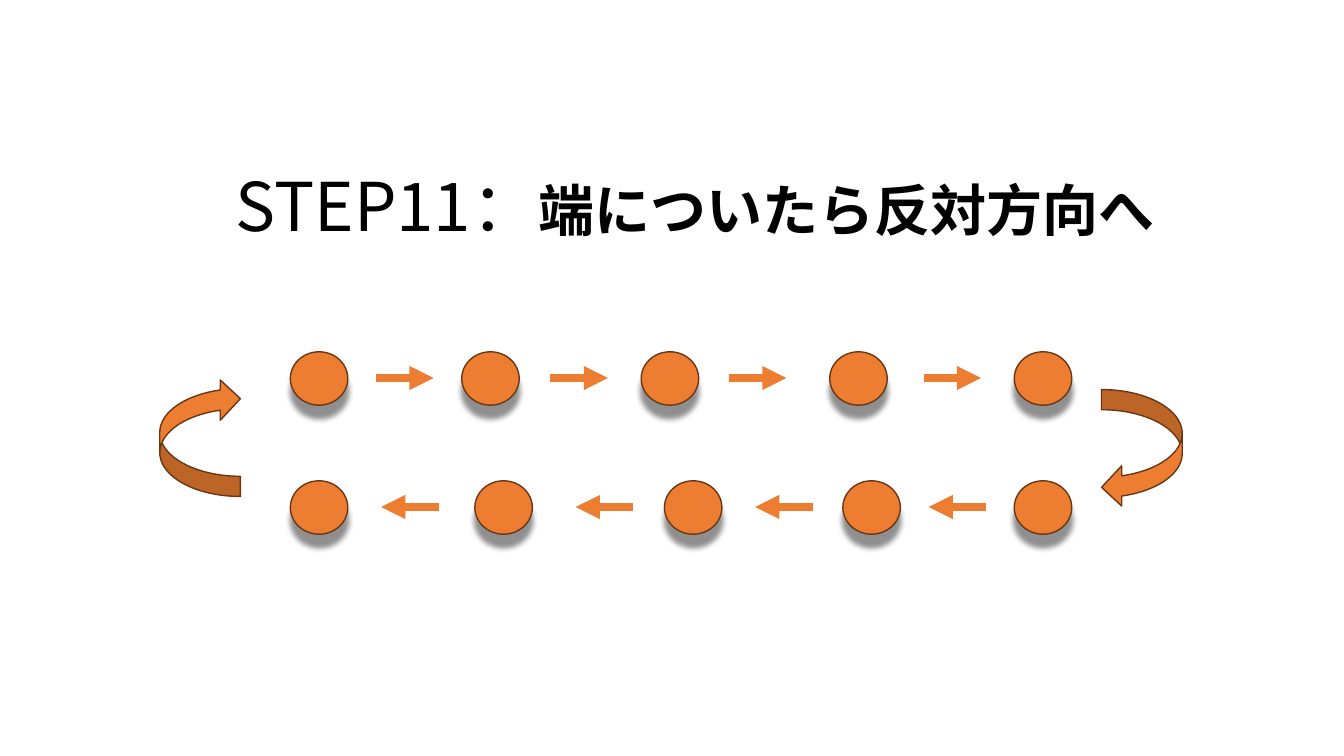
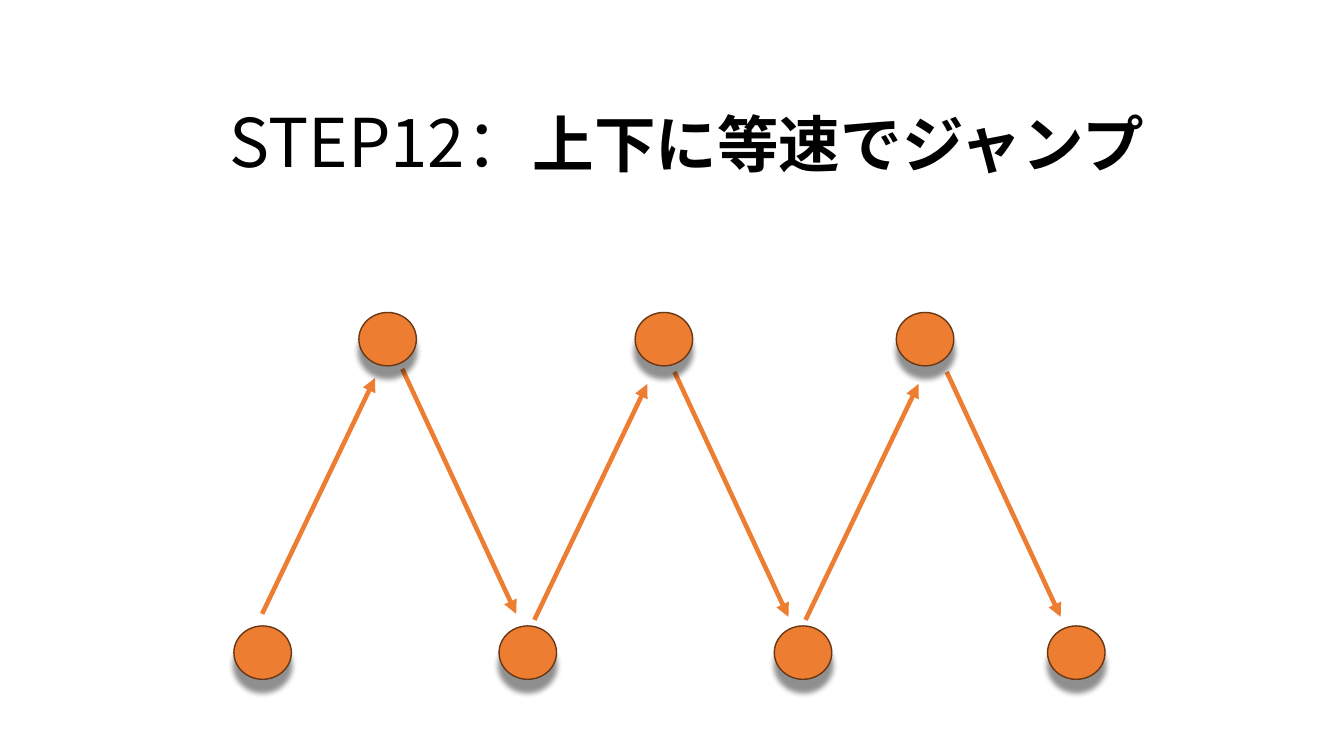
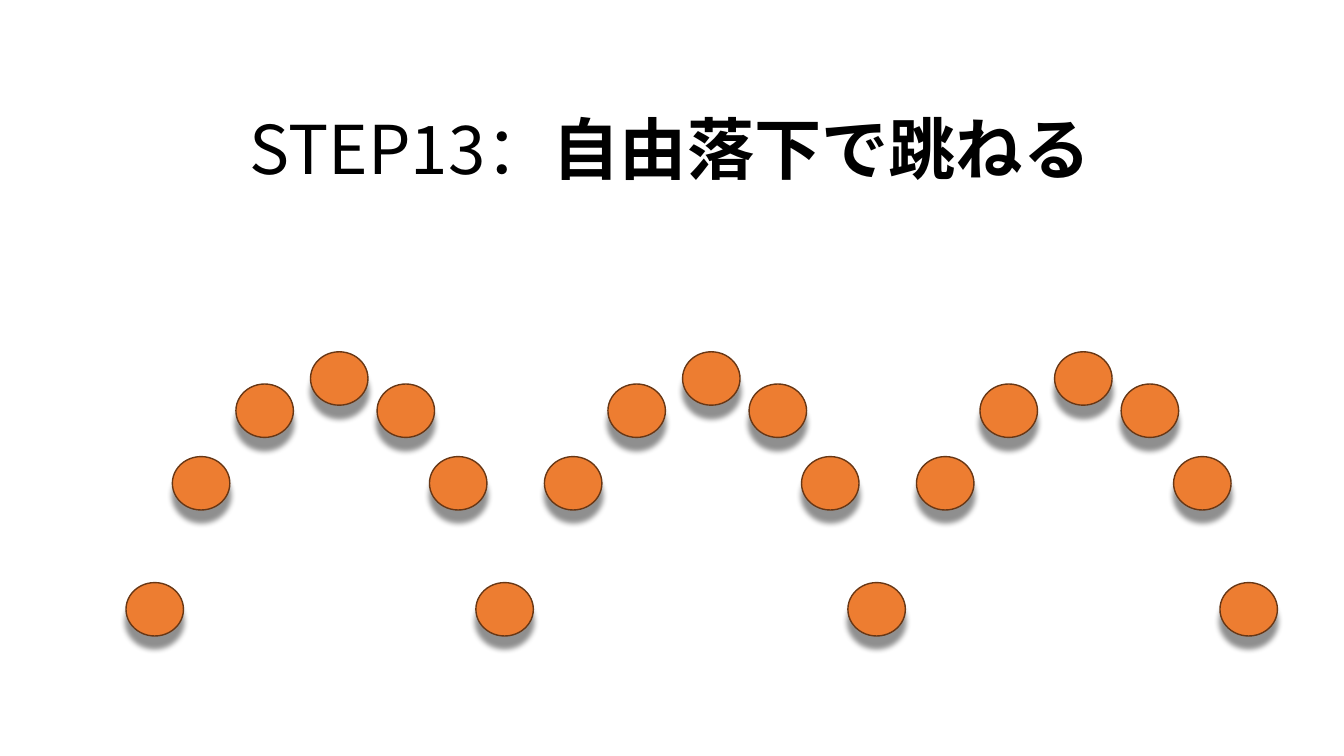
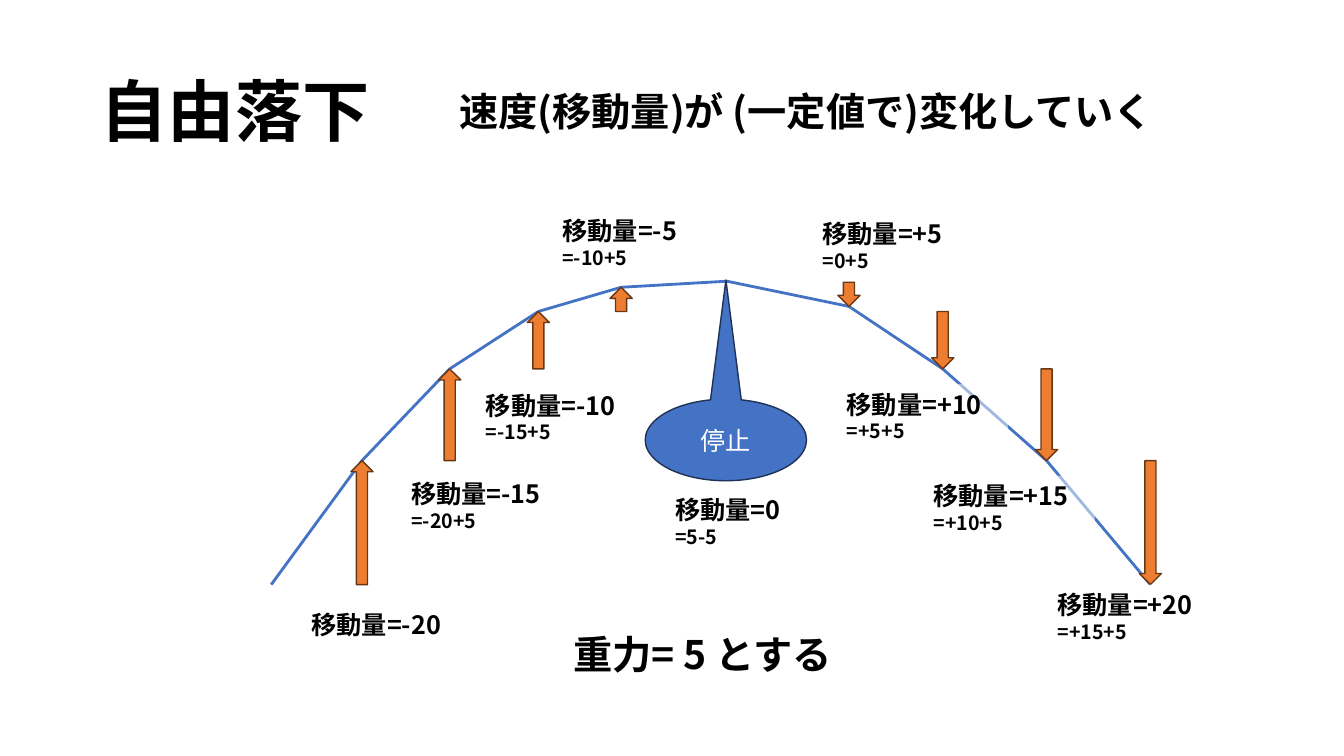
from dataclasses import dataclass

from lxml import etree
from pptx import Presentation
from pptx import util as u
from pptx.dml import color
from pptx.enum import shapes, text
from pptx.oxml import ns

EMU_PER_PX = 9144  # 100 px to the inch


@dataclass(frozen=True)
class Theme:
    font: str = "Noto Sans CJK JP"
    ink: str = "000000"
    paper: str = "FFFFFF"
    orange: str = "ED7D31"
    orange_edge: str = "683715"
    blue: str = "4472C4"
    blue_edge: str = "1E3256"
    title: int = 48
    statement: int = 28
    body: int = 18
    detail: int = 14
    edge: float = 1
    curve: float = 2
    jump: float = 3.25
    step: float = 5.75
    wash_percent: int = 50


THEME = Theme()
BALL_WIDTH, BALL_HEIGHT = 57, 53


@dataclass(frozen=True)
class Box:
    left: int
    top: int
    width: int
    height: int

    def inner(self, left, top, width, height):
        return Box(self.left + left, self.top + top, width, height)

    def point(self, x, y):
        return self.left + x, self.top + y

    def emu(self):
        return [px(n) for n in (self.left, self.top, self.width, self.height)]


def px(length):
    return u.Emu(length * EMU_PER_PX)


def rgb(value):
    return color.RGBColor.from_string(value)


def add_element(parent, tag, **attributes):
    element = etree.SubElement(parent, ns.qn(tag))
    for name, value in attributes.items():
        element.set(name, str(value))
    return element


def style_paragraph(para, size, bold=False, ink=THEME.ink):
    font = para.font
    font.name, font.size, font.bold = THEME.font, u.Pt(size), bold
    font.color.rgb = rgb(ink)
    # East Asian glyphs need their own typeface entry.
    for properties in para._p.iter(ns.qn("a:defRPr")):
        add_element(properties, "a:ea", typeface=THEME.font)


def add_text_box(page, box):
    text_box = page.shapes.add_textbox(*box.emu())
    text_box.text_frame.word_wrap = True
    return text_box


def add_lines(page, box, lines):
    """Place bold paragraphs, each given as (wording, size)."""
    text_box = add_text_box(page, box)
    frame = text_box.text_frame
    for index, (wording, size) in enumerate(lines):
        para = frame.add_paragraph() if index else frame.paragraphs[0]
        para.text = wording
        style_paragraph(para, size, bold=True)
    return text_box


def add_step_title(page, box, step, wording, size):
    para = add_text_box(page, box).text_frame.paragraphs[0]
    style_paragraph(para, THEME.title)
    para.add_run().text = f"{step}："
    span = para.add_run()
    span.text = wording
    span.font.size, span.font.bold = u.Pt(size), True


def add_solid(page, kind, box, fill=THEME.orange, edge=THEME.orange_edge):
    shape = page.shapes.add_shape(kind, *box.emu())
    shape.shadow.inherit = False
    shape.fill.solid()
    shape.fill.fore_color.rgb = rgb(fill)
    shape.line.color.rgb = rgb(edge)
    shape.line.width = u.Pt(THEME.edge)
    return shape


def add_ball(page, box, left, top):
    ball = add_solid(page, shapes.MSO_SHAPE.OVAL,
                     box.inner(left, top, BALL_WIDTH, BALL_HEIGHT))
    effects = ball._element.spPr.find(ns.qn("a:effectLst"))
    shadow = add_element(effects, "a:outerShdw", blurRad=u.Pt(4), dist=u.Pt(9),
                         dir=90 * 60000, algn="ctr", rotWithShape=0)
    shade = add_element(shadow, "a:srgbClr", val=THEME.ink)
    add_element(shade, "a:alpha", val=43000)


def add_line(page, start, end, ink, weight, arrow=False):
    line = page.shapes.add_connector(shapes.MSO_CONNECTOR.STRAIGHT,
                                     *(px(n) for n in (*start, *end)))
    line.line.color.rgb = rgb(ink)
    line.line.width = u.Pt(weight)
    if arrow:
        add_element(line.line._get_or_add_ln(), "a:tailEnd", type="triangle")
    add_element(line._element.spPr, "a:effectLst")


def add_ball_row(page, box, balls, arrows, forward):
    length, middle = 57, 26
    for left in arrows:
        ends = [box.point(left, middle), box.point(left + length, middle)]
        start, end = ends if forward else reversed(ends)
        add_line(page, start, end, THEME.orange, THEME.step, arrow=True)
    for left in balls:
        add_ball(page, box, left, 0)


def add_turn(page, box, rotation):
    turn = add_solid(page, shapes.MSO_SHAPE.CURVED_DOWN_ARROW, box)
    turn.rotation = rotation


def add_zigzag(page, box):
    rises = [(28, 299), (298, 305), (567, 305)]
    falls = [(167, 56), (437, 59), (707, 59)]
    for starts, run, drop in ((rises, 112, -234), (falls, 113, 243)):
        for x, y in starts:
            add_line(page, box.point(x, y), box.point(x + run, y + drop),
                     THEME.orange, THEME.jump, arrow=True)
    for left in (0, 263, 536, 807):
        add_ball(page, box, left, box.height - BALL_HEIGHT)
    for left in (124, 398, 657):
        add_ball(page, box, left, 0)


def add_bounces(page, box):
    """Place the first ball on the ground, then three equal arches."""
    arch = [(46, 104), (109, 32), (183, 0), (249, 32), (301, 104), (347, 229)]
    pitch = 369
    add_ball(page, box, 0, box.height - BALL_HEIGHT)
    for bounce in range(3):
        for x, y in arch:
            add_ball(page, box, bounce * pitch + x, y)


def add_speed_arrow(page, box, tip, change):
    """Place an arrow that ends at tip; a negative change points up."""
    width = 22
    x, y = tip
    kind, top = ((shapes.MSO_SHAPE.UP_ARROW, y) if change < 0
                 else (shapes.MSO_SHAPE.DOWN_ARROW, y - change))
    add_solid(page, kind, box.inner(x - width // 2, top, width, abs(change)))


def add_speed_label(page, box, speed, formula, washed):
    lines = [(f"移動量={speed}", THEME.body)]
    if formula:
        lines.append((formula, THEME.detail))
    label = add_lines(page, box, lines)
    if washed:
        label.fill.solid()
        label.fill.fore_color.rgb = rgb(THEME.paper)
        for paint in label._element.spPr.iter(ns.qn("a:srgbClr")):
            add_element(paint, "a:alpha", val=THEME.wash_percent * 1000)


def add_stop_callout(page, box):
    callout = add_solid(page, shapes.MSO_SHAPE.OVAL_CALLOUT, box,
                        THEME.blue, THEME.blue_edge)
    callout.adjustments[0], callout.adjustments[1] = 0, -1.96
    frame = callout.text_frame
    frame.vertical_anchor = text.MSO_ANCHOR.MIDDLE
    para = frame.paragraphs[0]
    para.text = "停止"
    para.alignment = text.PP_ALIGN.CENTER
    style_paragraph(para, THEME.body, ink=THEME.paper)


def add_fall_curve(page, box):
    curve = [(0, 371), (90, 248), (177, 157), (265, 100), (347, 76),
             (452, 70), (573, 95), (666, 157), (769, 248), (872, 371)]
    changes = [-123, -91, -57, -24, 0, 24, 57, 91, 123]
    labels = [
        (30, 391, 175, "-20", "", False),
        (129, 261, 198, "-15", "=-20+5", False),
        (203, 173, 198, "-10", "=-15+5", False),
        (279, 0, 160, "-5", "=-10+5", False),
        (537, 3, 154, "+5", "=0+5", False),
        (561, 172, 170, "+10", "=+5+5", True),
        (647, 263, 170, "+15", "=+10+5", True),
        (770, 371, 170, "+20", "=+15+5", True),
        (391, 277, 140, "0", "=5-5", True),
    ]
    for start, end in zip(curve, curve[1:]):
        add_line(page, box.point(*start), box.point(*end),
                 THEME.blue, THEME.curve)
    for tip, change in zip(curve[1:], changes):
        if change:
            add_speed_arrow(page, box, tip, change)
    add_stop_callout(page, box.inner(371, 187, 160, 81))
    for left, top, width, speed, formula, washed in labels:
        height = 64 if formula else 40
        add_speed_label(page, box.inner(left, top, width, height),
                        speed, formula, washed)


def build_turning(page):
    add_step_title(page, Box(224, 158, 985, 91),
                   "STEP11", "端についたら反対方向へ", 40)
    add_ball_row(page, Box(288, 349, 775, 53), (0, 170, 348, 535, 718),
                 (85, 258, 435, 628), forward=True)
    add_ball_row(page, Box(288, 477, 775, 53), (0, 183, 371, 548, 718),
                 (90, 283, 461, 633), forward=False)
    add_turn(page, Box(1074, 405, 117, 80), 90)
    add_turn(page, Box(140, 394, 117, 80), 270)


def build_jumping(page):
    add_step_title(page, Box(218, 95, 985, 91),
                   "STEP12", "上下に等速でジャンプ", 44)
    add_zigzag(page, Box(232, 310, 864, 364))


def build_bouncing(page):
    add_step_title(page, Box(238, 102, 985, 91),
                   "STEP13", "自由落下で跳ねる", THEME.title)
    add_bounces(page, Box(125, 349, 1142, 282))


def build_free_fall(page):
    add_lines(page, Box(90, 64, 315, 91), [("自由落下", THEME.title)])
    add_lines(page, Box(446, 82, 747, 57),
              [("速度(移動量)が (一定値で)変化していく", THEME.statement)])
    add_lines(page, Box(559, 620, 354, 57),
              [("重力= 5 とする", THEME.statement)])
    add_fall_curve(page, Box(269, 209, 940, 435))


def main():
    deck = Presentation()
    deck.slide_width, deck.slide_height = px(1333), px(750)
    blank = deck.slide_layouts[6]
    for build in (build_turning, build_jumping, build_bouncing,
                  build_free_fall):
        build(deck.slides.add_slide(blank))
    deck.save("out.pptx")


if __name__ == "__main__":
    main()
